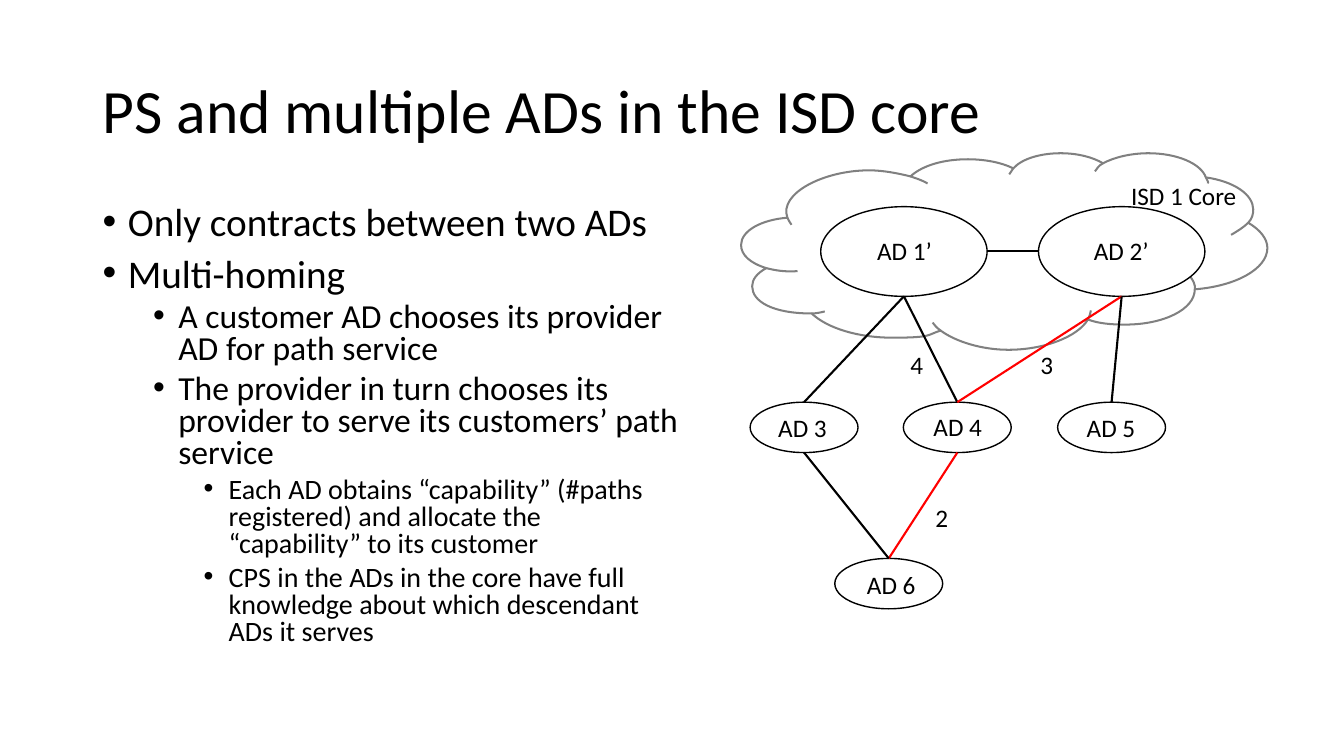
from collections import namedtuple
from dataclasses import dataclass

from lxml import etree
from pptx import Presentation
from pptx import util as u
from pptx.dml.color import RGBColor
from pptx.enum import shapes, text
from pptx.oxml import ns


@dataclass(frozen=True)
class Theme:
    font: str = "Calibri"
    ink: str = "000000"
    paper: str = "FFFFFF"
    cloud: str = "808080"
    registered: str = "FF0000"
    title: int = 44
    levels: tuple = (28, 24, 20)
    label: int = 18
    thin: float = 1
    cloud_line: float = 1.45
    link: float = 1.5


THEME = Theme()
Domain = namedtuple("Domain", "left top width height")

# Autonomous domains: two in the core, three below, one at the bottom
CORE, LEAF = (1.65, 0.89), (1.07, 0.5)
DOMAINS = {
    "AD 1’": Domain(8.14, 2.05, *CORE),
    "AD 2’": Domain(10.3, 2.05, *CORE),
    "AD 3": Domain(7.44, 3.99, *LEAF),
    "AD 4": Domain(8.96, 3.99, *LEAF),
    "AD 5": Domain(10.49, 3.99, *LEAF),
    "AD 6": Domain(8.28, 5.54, *LEAF),
}
LINKS = [
    ("AD 1’", "AD 3", THEME.ink),
    ("AD 1’", "AD 4", THEME.ink),
    ("AD 2’", "AD 4", THEME.registered),
    ("AD 2’", "AD 5", THEME.ink),
    ("AD 4", "AD 6", THEME.registered),
    ("AD 3", "AD 6", THEME.ink),
]
LABELS = [
    ("ISD 1 Core", 11.12, 1.74, 1.26),
    ("AD 1’", 8.6, 2.29, 0.75), ("AD 2’", 10.75, 2.29, 0.75),
    ("AD 3", 7.62, 4.04, 0.69), ("AD 4", 9.16, 4.03, 0.69),
    ("AD 5", 10.68, 4.04, 0.69), ("AD 6", 8.5, 5.6, 0.69),
    ("4", 8.93, 3.42, 0.33), ("3", 10.22, 3.42, 0.33), ("2", 9.18, 4.93, 0.33),
]

POINTS = [
    (0, "Only contracts between two ADs"),
    (0, "Multi-homing"),
    (1, "A customer AD chooses its provider AD for path service"),
    (1, "The provider in turn chooses its provider to serve its customers’ path service"),
    (2, "Each AD obtains “capability” (#paths registered) and allocate the "
        "“capability” to its customer"),
    (2, "CPS in the ADs in the core have full knowledge about which descendant ADs it serves"),
]

# Cloud: a start point, then two control points and an end point per curve
CLOUD_START = (7.81, 2.16)
CLOUD_EDGE = [
    (7.72, 1.92, 8.17, 1.69, 8.62, 1.69), (8.76, 1.69, 8.91, 1.72, 9.03, 1.75),
    (9.15, 1.64, 9.36, 1.58, 9.6, 1.58), (9.76, 1.58, 9.93, 1.61, 10.05, 1.67),
    (10.14, 1.57, 10.33, 1.52, 10.52, 1.52), (10.69, 1.52, 10.84, 1.56, 10.94, 1.62),
    (11.05, 1.56, 11.22, 1.52, 11.39, 1.52), (11.67, 1.52, 11.91, 1.62, 11.96, 1.76),
    (12.24, 1.8, 12.43, 1.93, 12.43, 2.08), (12.43, 2.12, 12.42, 2.17, 12.38, 2.21),
    (12.5, 2.28, 12.57, 2.37, 12.57, 2.46), (12.57, 2.67, 12.25, 2.84, 11.85, 2.87),
    (11.85, 3.07, 11.54, 3.22, 11.16, 3.22), (11.02, 3.22, 10.9, 3.21, 10.79, 3.17),
    (10.69, 3.34, 10.36, 3.47, 10, 3.47), (9.74, 3.47, 9.48, 3.39, 9.33, 3.28),
    (9.19, 3.32, 9.26, 3.35, 8.85, 3.35), (8.52, 3.35, 8.21, 3.26, 8.05, 3.11),
    (7.66, 3.11, 7.46, 2.99, 7.46, 2.84), (7.46, 2.77, 7.51, 2.71, 7.6, 2.66),
    (7.44, 2.61, 7.35, 2.53, 7.35, 2.43), (7.35, 2.29, 7.55, 2.18, 7.81, 2.16),
]
CLOUD_FOLDS = [
    ((7.81, 2.16), (7.82, 2.19, 7.84, 2.21, 7.85, 2.23)),
    ((9.03, 1.75), (9.09, 1.77, 9.15, 1.79, 9.2, 1.82)),
    ((10.05, 1.67), (10.04, 1.69, 10.02, 1.71, 10.01, 1.73)),
    ((10.94, 1.62), (10.9, 1.64, 10.88, 1.67, 10.86, 1.7)),
    ((11.96, 1.76), (11.97, 1.78, 11.99, 1.81, 11.98, 1.82)),
    ((12.38, 2.21), (12.34, 2.25, 12.28, 2.29, 12.21, 2.33)),
    ((11.85, 2.87), (11.87, 2.8, 11.76, 2.62, 11.45, 2.55)),
    ((10.79, 3.17), (10.81, 3.14, 10.81, 3.11, 10.82, 3.08)),
    ((9.33, 3.28), (9.29, 3.25, 9.27, 3.23, 9.25, 3.2)),
    ((8.05, 3.11), (8.09, 3.11, 8.14, 3.1, 8.18, 3.09)),
    ((7.6, 2.66), (7.68, 2.68, 7.78, 2.7, 7.91, 2.69)),
]


def set_all(target, values):
    for key, value in values.items():
        setattr(target, key, value)


def add_element(parent, tag, **attributes):
    return etree.SubElement(parent, ns.qn(tag), {k: str(v) for k, v in attributes.items()})


def style_line(line, color, width):
    line.color.rgb = RGBColor.from_string(color)
    line.width = u.Pt(width)


def style_shape(shape, color, width):
    shape.shadow.inherit = False
    shape.fill.solid()
    shape.fill.fore_color.rgb = RGBColor.from_string(THEME.paper)
    style_line(shape.line, color, width)


def add_text(slide, box, paragraphs, **frame_format):
    """Each paragraph is its wording, its size and its format values."""
    frame = slide.shapes.add_textbox(*map(u.Inches, box)).text_frame
    set_all(frame, {"word_wrap": True, **frame_format})
    for i, (wording, size, layout) in enumerate(paragraphs):
        paragraph = frame.add_paragraph() if i else frame.paragraphs[0]
        set_all(paragraph, layout)
        run = paragraph.add_run()
        run.text = wording
        set_all(run.font, {"name": THEME.font, "size": u.Pt(size)})
        run.font.color.rgb = RGBColor.from_string(THEME.ink)
    return frame


def add_bullets(slide, box, points):
    paragraphs = [
        (wording, THEME.levels[level],
         {"level": level, "line_spacing": 0.8, "space_before": u.Pt(5 if level else 10)})
        for level, wording in points
    ]
    frame = add_text(slide, box, paragraphs)
    for paragraph, (level, _) in zip(frame.paragraphs, points):
        props = paragraph._p.get_or_add_pPr()
        props.set("marL", str(u.Inches(0.25 + 0.5 * level)))
        props.set("indent", str(u.Inches(-0.25)))
        add_element(props, "a:buFont", typeface="Arial")
        add_element(props, "a:buChar", char="•")


def add_label(slide, wording, left, top, width):
    add_text(slide, (left, top, width, 0.4), [(wording, THEME.label, {})],
             word_wrap=False, auto_size=text.MSO_AUTO_SIZE.SHAPE_TO_FIT_TEXT)


def add_link(slide, start, end, color):
    link = slide.shapes.add_connector(
        shapes.MSO_CONNECTOR.STRAIGHT, *map(u.Inches, (*start, *end)))
    style_line(link.line, color, THEME.link)
    add_element(link._element.spPr, "a:effectLst")


def add_cloud(slide):
    # The curve ends span the cloud's frame; its outline is then drawn in curves
    ends = [CLOUD_START] + [curve[-2:] for curve in CLOUD_EDGE]
    frame = [(u.Inches(x), u.Inches(y)) for x, y in ends]
    builder = slide.shapes.build_freeform(*frame[0])
    builder.add_line_segments(frame[1:])
    cloud = builder.convert_to_shape()
    style_shape(cloud, THEME.cloud, THEME.cloud_line)

    outlines = cloud._element.spPr.find(ns.qn("a:custGeom")).find(ns.qn("a:pathLst"))
    for straight in list(outlines):
        outlines.remove(straight)

    def add_point(parent, x, y):
        add_element(parent, "a:pt", x=u.Inches(x) - cloud.left, y=u.Inches(y) - cloud.top)

    def add_outline(start, curves, **attributes):
        outline = add_element(outlines, "a:path", w=cloud.width, h=cloud.height, **attributes)
        add_point(add_element(outline, "a:moveTo"), *start)
        for curve in curves:
            bezier = add_element(outline, "a:cubicBezTo")
            for x, y in zip(curve[::2], curve[1::2]):
                add_point(bezier, x, y)
        return outline

    add_element(add_outline(CLOUD_START, CLOUD_EDGE), "a:close")
    for start, curve in CLOUD_FOLDS:
        add_outline(start, [curve], fill="none")


def add_domain(slide, domain):
    ellipse = slide.shapes.add_shape(shapes.MSO_SHAPE.OVAL, *map(u.Inches, domain))
    style_shape(ellipse, THEME.ink, THEME.thin)


def add_links(slide):
    first, second = DOMAINS["AD 1’"], DOMAINS["AD 2’"]
    middle = first.top + 0.44
    add_link(slide, (first.left + first.width, middle), (second.left, middle), THEME.ink)
    for upper, lower, color in LINKS:
        a, b = DOMAINS[upper], DOMAINS[lower]
        add_link(slide, (a.left + a.width / 2, a.top + a.height),
                 (b.left + b.width / 2, b.top), color)


def main():
    deck = Presentation()
    set_all(deck, {"slide_width": u.Inches(13.33), "slide_height": u.Inches(7.5)})
    slide = deck.slides.add_slide(deck.slide_layouts[6])

    # Title and points
    add_text(slide, (0.92, 0.4, 11.5, 1.45),
             [("PS and multiple ADs in the ISD core", THEME.title, {"line_spacing": 0.9})],
             vertical_anchor=text.MSO_ANCHOR.MIDDLE)
    add_bullets(slide, (0.92, 2, 5.92, 4.76), POINTS)

    # Network and its labels
    add_cloud(slide)
    for domain in DOMAINS.values():
        add_domain(slide, domain)
    add_links(slide)
    for label in LABELS:
        add_label(slide, *label)

    deck.save("out.pptx")


main()
